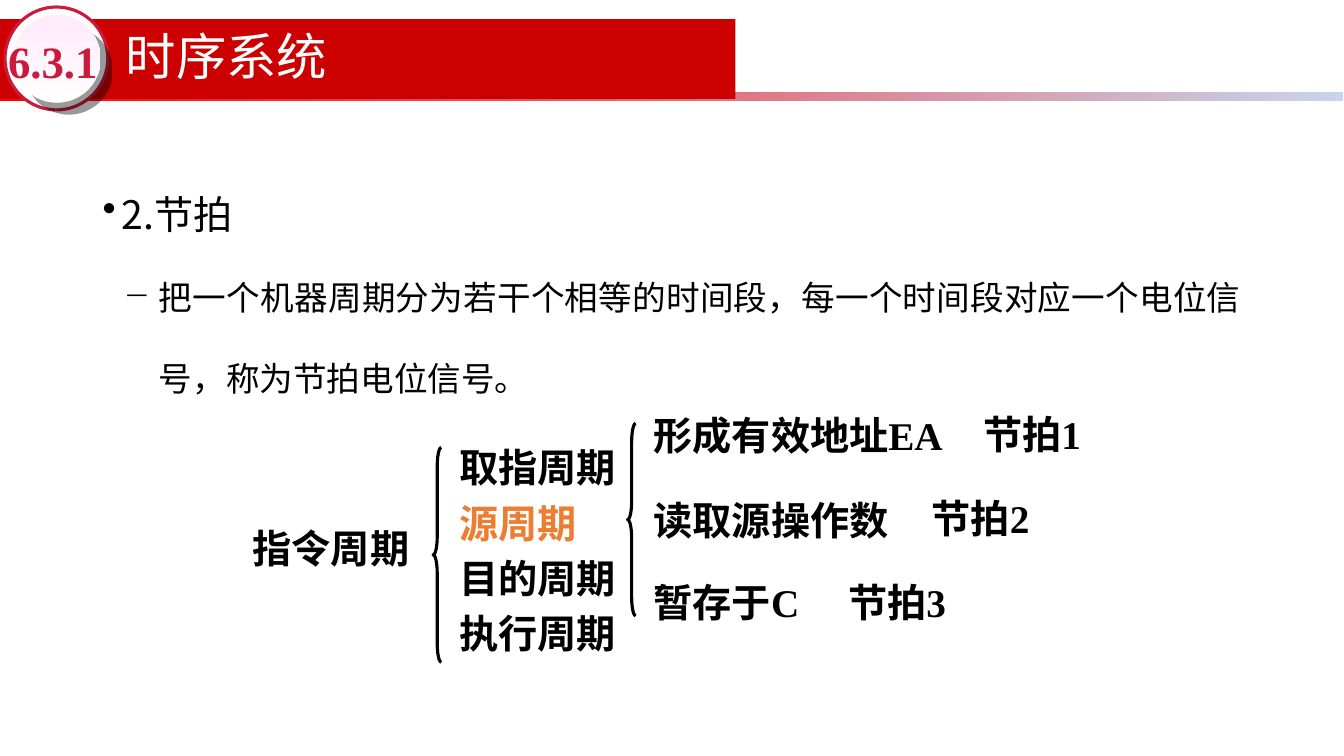
from dataclasses import dataclass
from typing import Optional

from lxml.etree import SubElement
from pptx import Presentation
from pptx.dml.color import RGBColor
from pptx.enum.shapes import MSO_SHAPE
from pptx.enum.text import MSO_ANCHOR, PP_ALIGN
from pptx.oxml.ns import qn
from pptx.util import Inches, Pt


@dataclass(frozen=True)
class Theme:
    black: str = "000000"
    white: str = "FFFFFF"
    banner: str = "CC0000"
    crimson: str = "CB1B3D"
    accent: str = "ED7D31"
    rule: tuple = ("FF0000", "C7D5ED")
    badge: tuple = ("FFFFFF", "FFEBFA")
    sans: str = "Noto Sans CJK SC"
    serif: str = "Times New Roman"
    title: int = 36
    number: int = 32
    heading: int = 28
    body: int = 24
    label: int = 28


T = Theme()


@dataclass(frozen=True)
class Label:
    text: str
    left: float
    top: float
    width: float
    color: str = T.black


@dataclass(frozen=True)
class Brace:
    left: float
    top: float
    height: float


@dataclass(frozen=True)
class Bullet:
    text: str
    char: str
    size: int
    level: int
    margin: float
    hanging: float
    line_height: float


CYCLE_TOP, CYCLE_STEP = 4.35, 0.55
CYCLES = ["取指周期", "源周期", "目的周期", "执行周期"]
LABELS = [Label("指令周期", 2.41, 5.15, 1.81)] + [
    Label(text, 4.46, CYCLE_TOP + i * CYCLE_STEP, 1.81,
          T.accent if text == "源周期" else T.black)
    for i, text in enumerate(CYCLES)
] + [
    Label("形成有效地址EA", 6.39, 4.03, 3.46),
    Label("读取源操作数", 6.39, 4.87, 3.46),
    Label("暂存于C", 6.39, 5.69, 3.46),
    Label("节拍1", 9.66, 4.02, 1.85),
    Label("节拍2", 9.15, 4.85, 2.44),
    Label("节拍3", 8.32, 5.69, 2.44),
]
BRACES = [Brace(4.3, 4.44, 2.13), Brace(6.23, 4.2, 1.91)]
BULLETS = [
    Bullet("2.节拍", "•", T.heading, 0, 0.19, 0.19, 68),
    Bullet("把一个机器周期分为若干个相等的时间段，每一个时间段对应一个电位信号，"
           "称为节拍电位信号。", "−", T.body, 1, 0.56, 0.35, 57.5),
]


def add_run(p, text: str, font: str, size: int, color: str, bold: bool = False) -> None:
    r = p.add_run()
    r.text = text
    for name, value in {"name": font, "size": Pt(size), "bold": bold}.items():
        setattr(r.font, name, value)
    r.font.color.rgb = RGBColor.from_string(color)
    SubElement(r.font._element, qn("a:ea"), typeface=T.sans)


def add_text_frame(slide, left: float, top: float, width: float, height: float,
                   **settings):
    box = slide.shapes.add_textbox(*map(Inches, (left, top, width, height)))
    tf = box.text_frame
    for name, value in {"word_wrap": True, **settings}.items():
        setattr(tf, name, value)
    return tf


def add_block(slide, kind: MSO_SHAPE, left: float, top: float, width: float,
              height: float, fill: Optional[str] = None, line: Optional[str] = None):
    sp = slide.shapes.add_shape(kind, *map(Inches, (left, top, width, height)))
    sp.shadow.inherit = False
    if fill:
        sp.fill.solid()
        sp.fill.fore_color.rgb = RGBColor.from_string(fill)
    else:
        sp.fill.background()
    if line:
        sp.line.color.rgb = RGBColor.from_string(line)
        sp.line.width = Pt(2.25)
    else:
        sp.line.fill.background()
    return sp


def set_gradient(sp, colors: tuple, angle: float) -> None:
    """Fill with two colours; the angle runs counter-clockwise."""
    sp.fill.gradient()
    sp.fill.gradient_angle = angle
    for stop, color in zip(sp.fill.gradient_stops, colors):
        stop.color.rgb = RGBColor.from_string(color)


def add_shadow(sp, distance: float, degrees: int, opacity: int) -> None:
    effects = sp._element.spPr.find(qn("a:effectLst"))
    shadow = SubElement(effects, qn("a:outerShdw"), dist=str(Pt(distance)),
                        dir=str(degrees * 60000), algn="ctr", rotWithShape="0")
    color = SubElement(shadow, qn("a:srgbClr"), val=T.black)
    SubElement(color, qn("a:alpha"), val=str(opacity * 1000))


def add_header(slide) -> None:
    rule = add_block(slide, MSO_SHAPE.RECTANGLE, 0, 0.92, 13.33, 0.08)
    set_gradient(rule, T.rule, 315)
    add_block(slide, MSO_SHAPE.RECTANGLE, 0, 0.19, 7.3, 0.79, T.banner)
    add_block(slide, MSO_SHAPE.OVAL, 0.05, 0.07, 1.02, 1.02, T.white, T.crimson)
    badge = add_block(slide, MSO_SHAPE.OVAL, 0.13, 0.15, 0.87, 0.87)
    set_gradient(badge, T.badge, 90)
    add_shadow(badge, 12.1, 45, 40)

    title = add_text_frame(slide, 1.15, 0.18, 7.44, 0.82,
                           vertical_anchor=MSO_ANCHOR.MIDDLE)
    title.paragraphs[0].line_spacing = 0.9
    add_run(title.paragraphs[0], "时序系统", T.sans, T.title, T.white)

    margins = {f"margin_{side}": 0 for side in ("left", "top", "right", "bottom")}
    number = add_text_frame(slide, 0.08, 0.33, 0.93, 0.54,
                            vertical_anchor=MSO_ANCHOR.MIDDLE, **margins)
    add_run(number.paragraphs[0], "6.3.1", T.serif, T.number, T.crimson, True)


def add_bullets(slide, bullets: list[Bullet]) -> None:
    tf = add_text_frame(slide, 0.92, 1.36, 11.5, 5.44)
    for i, bullet in enumerate(bullets):
        p = tf.add_paragraph() if i else tf.paragraphs[0]
        pPr = p._p.get_or_add_pPr()
        pPr.set("marL", str(Inches(bullet.margin)))
        pPr.set("indent", str(-Inches(bullet.hanging)))
        color = SubElement(pPr, qn("a:buClr"))
        SubElement(color, qn("a:srgbClr"), val=T.black)
        SubElement(pPr, qn("a:buChar"), char=bullet.char)
        for name, value in {"level": bullet.level, "alignment": PP_ALIGN.JUSTIFY,
                            "line_spacing": Pt(bullet.line_height)}.items():
            setattr(p, name, value)
        add_run(p, bullet.text, T.sans, bullet.size, T.black)


def add_cycle_tree(slide) -> None:
    width, curve = 0.08, 0.18
    for brace in BRACES:
        sp = add_block(slide, MSO_SHAPE.LEFT_BRACE, brace.left, brace.top, width,
                       brace.height, line=T.black)
        sp.adjustments[0] = curve / width
    for label in LABELS:
        tf = add_text_frame(slide, label.left, label.top, label.width, 0.57)
        add_run(tf.paragraphs[0], label.text, T.serif, T.label, label.color, True)


def main() -> None:
    prs = Presentation()
    prs.slide_width, prs.slide_height = Inches(13.34), Inches(7.5)
    slide = prs.slides.add_slide(prs.slide_layouts[6])
    add_header(slide)
    add_bullets(slide, BULLETS)
    add_cycle_tree(slide)
    prs.save("out.pptx")


if __name__ == "__main__":
    main()
